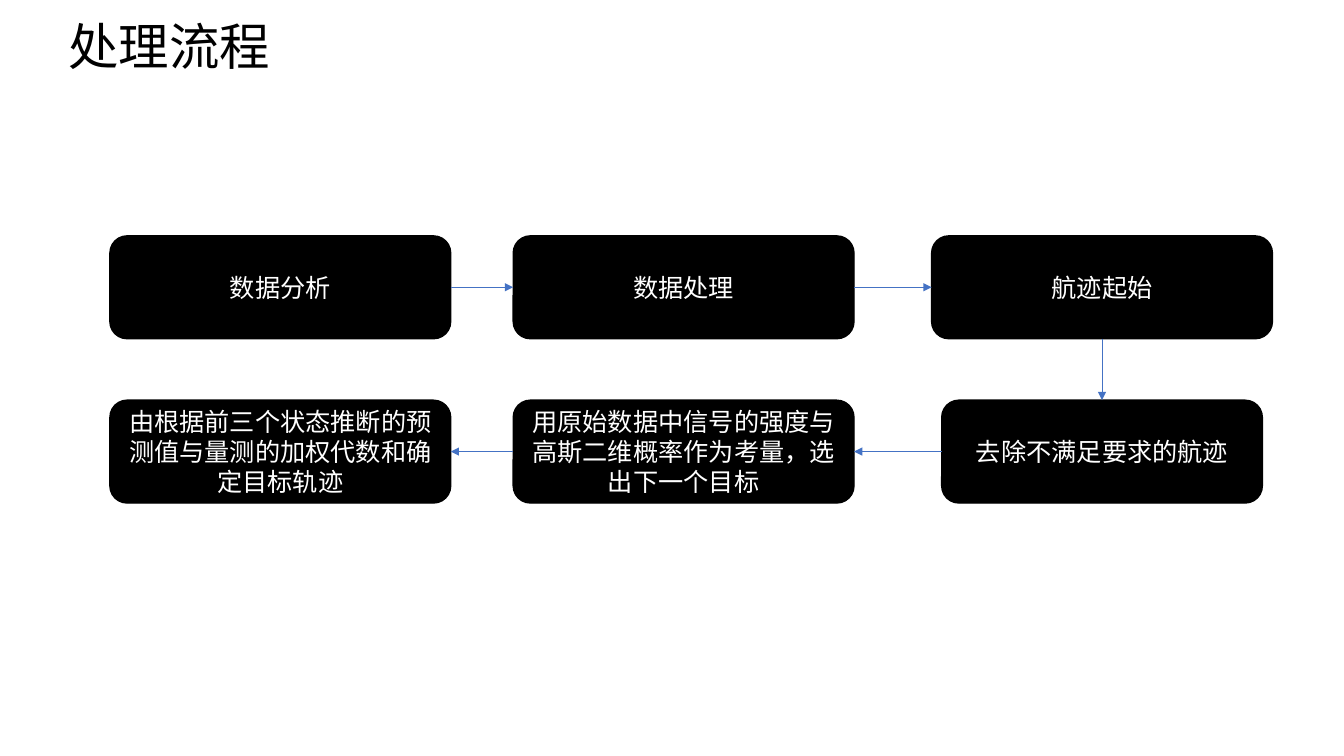
import lxml.etree
import pptx
import pptx.dml.color
import pptx.enum.shapes
import pptx.enum.text
import pptx.oxml.ns
import pptx.util

COLOURS = {"box": "000000", "box text": "FFFFFF", "title": "000000", "arrow": "4472C4"}
FONT = "Noto Sans CJK SC"
SLIDE_SIZE = (13.33, 7.5)
TITLE_BOX = (0.58, 0.1, 3.89, 0.71)
COLUMN_CENTRES = (2.78, 6.78, 10.93)
ROW_TOPS = (2.34, 3.97)
STEP_WIDTH, LAST_STEP_WIDTH, STEP_HEIGHT = 3.38, 3.18, 1.02
TOP, LEFT, BOTTOM, RIGHT = range(4)
STEPS = [
    ("数据分析", 0, 0, STEP_WIDTH),
    ("数据处理", 1, 0, STEP_WIDTH),
    ("航迹起始", 2, 0, STEP_WIDTH),
    ("去除不满足要求的航迹", 2, 1, LAST_STEP_WIDTH),
    ("用原始数据中信号的强度与高斯二维概率作为考量，选出下一个目标", 1, 1, STEP_WIDTH),
    ("由根据前三个状态推断的预测值与量测的加权代数和确定目标轨迹", 0, 1, STEP_WIDTH),
]
ARROW_SITES = [(RIGHT, LEFT), (RIGHT, LEFT), (BOTTOM, TOP), (LEFT, RIGHT), (LEFT, RIGHT)]


def colour(name):
    """Return the named palette colour."""
    return pptx.dml.color.RGBColor.from_string(COLOURS[name])


def write_text(shape, text, size, colour_name, alignment):
    """Fill a shape with one formatted paragraph."""
    frame = shape.text_frame
    frame.text = text
    frame.word_wrap = True
    frame.vertical_anchor = pptx.enum.text.MSO_ANCHOR.MIDDLE
    paragraph = frame.paragraphs[0]
    paragraph.alignment = alignment
    paragraph.font.size = pptx.util.Pt(size)
    paragraph.font.color.rgb = colour(colour_name)
    paragraph.font.name = FONT
    properties = paragraph._p.pPr.find(pptx.oxml.ns.qn("a:defRPr"))
    lxml.etree.SubElement(properties, pptx.oxml.ns.qn("a:ea"), typeface=FONT)


def add_title(slide, box, text):
    """Place the slide title in the given box."""
    title = slide.shapes.title
    title.left, title.top, title.width, title.height = map(pptx.util.Inches, box)
    write_text(title, text, 36, "title", pptx.enum.text.PP_ALIGN.LEFT)
    title.text_frame.vertical_anchor = pptx.enum.text.MSO_ANCHOR.TOP
    title.text_frame.auto_size = pptx.enum.text.MSO_AUTO_SIZE.SHAPE_TO_FIT_TEXT


def add_step(slide, box, text):
    """Draw one rounded process step in the given box."""
    step = slide.shapes.add_shape(
        pptx.enum.shapes.MSO_SHAPE.ROUNDED_RECTANGLE, *map(pptx.util.Inches, box)
    )
    step.shadow.inherit = False
    step.fill.solid()
    step.fill.fore_color.rgb = colour("box")
    step.line.color.rgb = colour("box")
    step.line.width = pptx.util.Pt(1)
    write_text(step, text, 18, "box text", pptx.enum.text.PP_ALIGN.CENTER)
    return step


def add_arrow(slide, start, start_site, end, end_site):
    """Connect two steps with an arrow between their connection sites."""
    arrow = slide.shapes.add_connector(pptx.enum.shapes.MSO_CONNECTOR.STRAIGHT, 0, 0, 0, 0)
    arrow.begin_connect(start, start_site)
    arrow.end_connect(end, end_site)
    arrow.line.color.rgb = colour("arrow")
    arrow.line.width = pptx.util.Pt(0.5)
    line = arrow.line._get_or_add_ln()
    lxml.etree.SubElement(line, pptx.oxml.ns.qn("a:tailEnd"), type="triangle")
    lxml.etree.SubElement(arrow._element.spPr, pptx.oxml.ns.qn("a:effectLst"))


def add_flow(slide):
    """Lay the steps out on the column and row grid and link them in order."""
    steps = [
        add_step(
            slide,
            (COLUMN_CENTRES[column] - width / 2, ROW_TOPS[row], width, STEP_HEIGHT),
            text,
        )
        for text, column, row, width in STEPS
    ]
    for start, end, (start_site, end_site) in zip(steps, steps[1:], ARROW_SITES):
        add_arrow(slide, start, start_site, end, end_site)


def main():
    """Build and save the process slide."""
    presentation = pptx.Presentation()
    presentation.slide_width, presentation.slide_height = map(pptx.util.Inches, SLIDE_SIZE)
    slide = presentation.slides.add_slide(presentation.slide_layouts.get_by_name("Title Only"))
    add_title(slide, TITLE_BOX, "处理流程")
    add_flow(slide)
    presentation.save("out.pptx")


if __name__ == "__main__":
    main()
